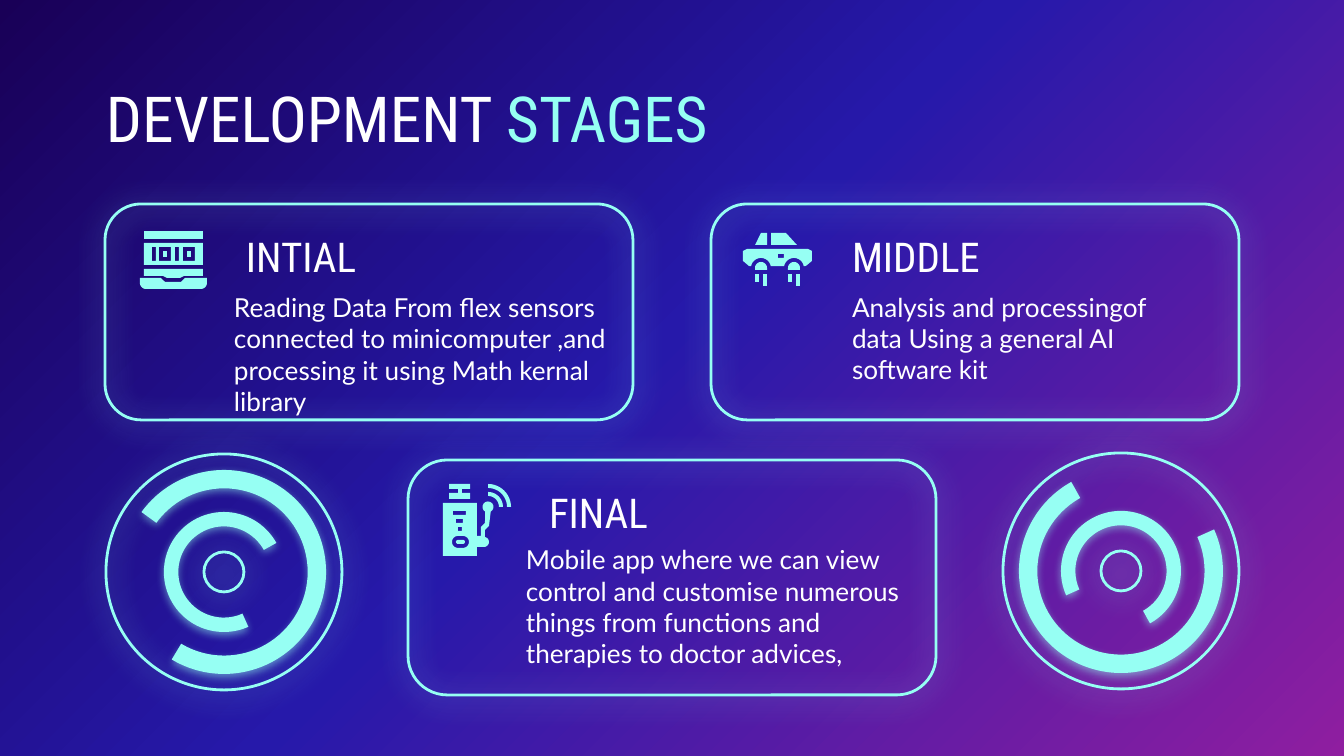
from copy import deepcopy
from math import cos, radians, sin

from lxml import etree
from pptx import Presentation
from pptx.dml.color import RGBColor
from pptx.enum.shapes import MSO_SHAPE
from pptx.enum.text import MSO_ANCHOR, MSO_AUTO_SIZE, PP_ALIGN
from pptx.oxml.ns import qn
from pptx.util import Emu, Pt

ROUND, OVAL, ARC = MSO_SHAPE.ROUNDED_RECTANGLE, MSO_SHAPE.OVAL, MSO_SHAPE.BLOCK_ARC
TOP, MIDDLE = MSO_ANCHOR.TOP, MSO_ANCHOR.MIDDLE
LEFT = PP_ALIGN.LEFT
NO_FIT = MSO_AUTO_SIZE.NONE

WHITE = RGBColor(0xFF, 0xFF, 0xFF)
AQUA = RGBColor(0x96, 0xFF, 0xF3)
GLOW = RGBColor(0x98, 0xFA, 0xFC)
NIGHT = RGBColor(0x19, 0x00, 0x57)
BLUE = RGBColor(0x26, 0x19, 0xAA)
PURPLE = RGBColor(0x8F, 0x1E, 0xA0)
HEAD, BODY = "Roboto Condensed", "Lato"
SCALE = 914400 / 134.4


def px(n):
    return Emu(round(n * SCALE))


def box(x0, y0, x1, y1):
    return [(x0, y0), (x1, y0), (x1, y1), (x0, y1)]


def curve(x, y, r, start, end, steps=12):
    """Points on a circle, with angles clockwise from the right."""
    angles = [radians(start + (end - start) * i / steps) for i in range(steps + 1)]
    return [(x + r * cos(a), y + r * sin(a)) for a in angles]


def pill(x0, y0, x1, y1):
    r, y = (y1 - y0) / 2, (y0 + y1) / 2
    return curve(x0 + r, y, r, 90, 270) + curve(x1 - r, y, r, -90, 90)


def band(x, y, inner, outer):
    return curve(x, y, outer, -90, 0) + curve(x, y, inner, 0, -90)


def write(frame, *runs, font=BODY, size=14, anchor=MIDDLE, inset=13):
    """Fill a text frame with (text, colour) runs."""
    frame.word_wrap, frame.auto_size = True, NO_FIT
    frame.vertical_anchor = anchor
    frame.margin_left = frame.margin_right = px(inset)
    frame.margin_top = frame.margin_bottom = px(inset)
    par = frame.paragraphs[0]
    par.alignment = LEFT
    for text, color in runs:
        run = par.add_run()
        run.text = text
        run.font.name, run.font.size = font, Pt(size)
        run.font.color.rgb = color


class Deck:
    def __init__(self):
        self.prs = Presentation()
        self.prs.slide_width, self.prs.slide_height = px(1344), px(756)
        self.slide = self.prs.slides.add_slide(self.prs.slide_layouts[5])
        self.shapes = self.slide.shapes

    def back(self, angle, *stops):
        fill = self.slide.background.fill
        fill.gradient()
        fill.gradient_angle = angle
        items = self.slide._element.find(".//" + qn("a:gsLst"))
        while len(items) < len(stops):
            items.append(deepcopy(items[0]))
        for stop, (place, color) in zip(fill.gradient_stops, stops):
            stop.position, stop.color.rgb = place, color

    def title(self, *runs):
        item = self.shapes.title
        item.left, item.top, item.width, item.height = map(px, (106, 79, 1133, 84))
        write(item.text_frame, *runs, font=HEAD, size=34, anchor=TOP, inset=0)

    def text(self, x, y, w, h, text, **style):
        item = self.shapes.add_textbox(*map(px, (x, y, w, h)))
        write(item.text_frame, (text, WHITE), **style)

    def glow(self, shape, color, alpha, blur):
        shape.shadow.inherit = False
        effects = shape._element.spPr.find(qn("a:effectLst"))
        outer = etree.SubElement(effects, qn("a:outerShdw"), blurRad=str(Pt(blur)),
                                 dist=str(Pt(1.5)), dir="5400000", algn="bl", rotWithShape="0")
        tint = etree.SubElement(outer, qn("a:srgbClr"), val=str(color))
        etree.SubElement(tint, qn("a:alpha"), val=str(alpha * 1000))

    def outline(self, shapes, kind, x, y, w, h, color=AQUA):
        item = shapes.add_shape(kind, *map(px, (x, y, w, h)))
        item.fill.background()
        item.line.color.rgb, item.line.width = AQUA, Pt(1.5)
        self.glow(item, color, 67, 15.8)

    def card(self, x, y, h, head):
        self.outline(self.shapes, ROUND, x, y, 528, h, GLOW)
        self.text(x + 128, y + 23, 344, 58, head, font=HEAD, size=22)

    def icon(self, *parts):
        """Each part is a list of outlines; inner outlines cut holes."""
        group = self.shapes.add_group_shape()
        for part in parts:
            outlines = [[(px(x), px(y)) for x, y in line] for line in part]
            pen = group.shapes.build_freeform(*outlines[0][0], scale=1.0)
            pen.add_line_segments(outlines[0][1:])
            for line in outlines[1:]:
                pen.move_to(*line[0])
                pen.add_line_segments(line[1:])
            item = pen.convert_to_shape()
            item.fill.solid()
            item.fill.fore_color.rgb = AQUA
            item.line.fill.background()
            item.shadow.inherit = False

    def dial(self, x, y, *turns):
        group = self.shapes.add_group_shape().shapes
        for size in (236, 40):
            self.outline(group, OVAL, x - size // 2, y - size // 2, size, size)
        rings = ((204, 18.51, 0.09), (120, 18.62, 0.12))
        for turn, (size, end, thick) in zip(turns, rings):
            place = (x - size // 2, y - size // 2, size, size)
            item = group.add_shape(ARC, *map(px, place))
            for i, value in enumerate((75.58, end, thick)):
                item.adjustments[i] = value
            item.rotation = turn
            item.fill.solid()
            item.fill.fore_color.rgb = AQUA
            item.line.fill.background()
            self.glow(item, AQUA, 50, 4.5)


def main():
    deck = Deck()
    deck.back(315, (0, NIGHT), (0.48, BLUE), (1, PURPLE))
    deck.title(("DEVELOPMENT ", WHITE), ("STAGES", AQUA))

    # Stage cards
    deck.card(105, 204, 216, "INTIAL")
    deck.card(711, 204, 216, "MIDDLE")
    deck.card(408, 460, 235, "FINAL")
    deck.text(221, 301, 452, 106, "Reading Data From flex sensors connected to "
              "minicomputer ,and processing it using Math kernal library")
    deck.text(839, 285, 344, 106,
              "Analysis and processingof data Using a general AI software kit")
    deck.text(513, 513, 430, 187, "Mobile app where we can view control and customise "
              "numerous things from functions and therapies to doctor advices,")

    # Laptop icon
    holes = [box(x, 247, x + w, 261) for x, w in ((152, 4), (159, 12), (175, 4), (183, 12))]
    deck.icon(
        [box(144, 231, 203, 239)],
        [box(144, 243, 203, 265)] + holes,
        *[[box(x, 251, x + 4, 257)] for x in (163, 187)],
        [[(144, 269), (203, 269), (203, 276), (184, 276), (180, 278),
          (167, 278), (163, 276), (144, 276)]],
        [[(140, 278), (161, 278), (165, 282), (181, 282), (185, 278), (207, 278)]
         + curve(201, 283, 6, 0, 90) + curve(146, 283, 6, 90, 180)],
    )

    # Car icon
    wheels = (761, 794)
    arches = [p for x in wheels for p in curve(x, 268, 10, 190, 350)]
    deck.icon(
        [[(761, 233), (767, 233), (767, 245), (755, 245)]],
        [[(771, 233), (786, 233), (797, 245), (771, 245)]],
        [[(747, 249), (743, 251), (743, 261), (749, 266)] + arches
         + [(806, 266), (812, 261), (812, 251), (808, 249)], box(778, 254, 784, 258)],
        *[[curve(x, 268, 6, 180, 360) + [(x + 6, 270), (x - 6, 270)]] for x in wheels],
        *[[box(x + dx, 274, x + dx + 4, end)]
          for x in wheels for dx, end in ((-6, 282), (2, 286))],
    )

    # Sensor icon
    deck.icon(
        [band(488, 507, 11, 15)],
        [band(488, 507, 19, 23)],
        [[(449, 484), (470, 484), (470, 489), (462, 489), (462, 493), (470, 493),
          (470, 499), (449, 499), (449, 493), (458, 493), (458, 489), (449, 489)]],
        [pill(456, 540, 465, 544)],
        [[(443, 503), (477, 503), (477, 536), (481, 536), (481, 527), (485, 523)]
         + curve(488, 507, 5.5, 120, 420)
         + [(489, 526), (485, 530)] + curve(484, 542, 5, -80, 90)
         + [(477, 547), (477, 556), (443, 556)],
         box(453, 511, 466, 515), box(456, 519, 463, 523),
         box(458, 527, 462, 531), pill(452, 536, 469, 548)],
    )

    # Dials
    deck.dial(224, 572, 90, 300)
    deck.dial(1121, 571, 210, 30)
    deck.prs.save("out.pptx")


if __name__ == "__main__":
    main()
